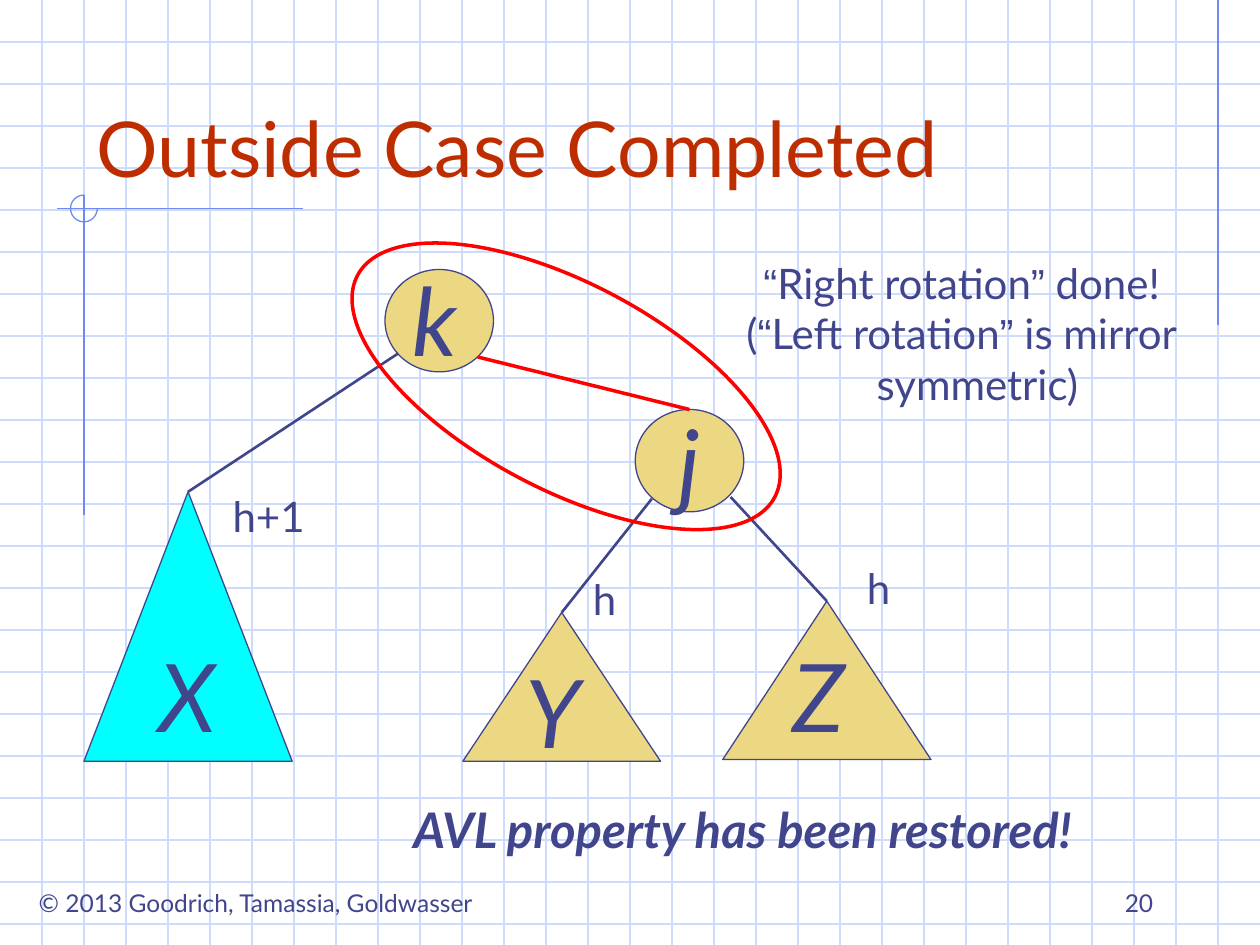
from lxml import etree
from pptx import Presentation
from pptx.dml.color import RGBColor
from pptx.enum.shapes import MSO_CONNECTOR, MSO_SHAPE
from pptx.enum.text import MSO_ANCHOR, PP_ALIGN
from pptx.oxml.ns import qn
from pptx.util import Pt

STRAIGHT = MSO_CONNECTOR.STRAIGHT
ELLIPSE, TRIANGLE, ARC = MSO_SHAPE.OVAL, MSO_SHAPE.ISOSCELES_TRIANGLE, MSO_SHAPE.ARC
LEFT, CENTER, RIGHT = PP_ALIGN.LEFT, PP_ALIGN.CENTER, PP_ALIGN.RIGHT
TOP, MIDDLE, BOTTOM = MSO_ANCHOR.TOP, MSO_ANCHOR.MIDDLE, MSO_ANCHOR.BOTTOM

GRID = RGBColor(0xCF, 0xDB, 0xFD)
ACCENT = RGBColor(0x6F, 0x89, 0xF7)
INK = RGBColor(0x40, 0x45, 0x8C)
TITLE = RGBColor(0xBE, 0x2D, 0x00)
SAND = RGBColor(0xEC, 0xD8, 0x82)
CYAN = RGBColor(0x00, 0xFF, 0xFF)
RED = RGBColor(0xFF, 0x00, 0x00)

FONT, QUOTE_FONT = "Lato", "Arial"
WIDTH, HEIGHT, PITCH = 720, 540, 24


def points(*values):
    return [Pt(v) for v in values]


def add_line(s, start, end, color, weight=0.75):
    line = s.shapes.add_connector(STRAIGHT, *points(*start, *end))
    line.line.color.rgb = color
    line.line.width = Pt(weight)
    etree.SubElement(line.element.spPr, qn("a:effectLst"))


def add_outline(s, kind, box, fill, color=INK, weight=0.75):
    sp = s.shapes.add_shape(kind, *points(*box))
    sp.shadow.inherit = False
    if fill is None:
        sp.fill.background()
    else:
        sp.fill.solid()
        sp.fill.fore_color.rgb = fill
    sp.line.color.rgb = color
    sp.line.width = Pt(weight)
    return sp


def style(p, size, color=INK, align=CENTER, bold=False, italic=False):
    p.alignment = align
    p.font.name = FONT
    p.font.size = Pt(size)
    p.font.color.rgb = color
    p.font.bold = bold
    p.font.italic = italic


def add_text(s, box, text, size, align=CENTER, anchor=TOP, **look):
    tf = s.shapes.add_textbox(*points(*box)).text_frame
    tf.word_wrap = True
    tf.margin_left = tf.margin_right = 0
    tf.vertical_anchor = anchor
    tf.text = text
    for p in tf.paragraphs:
        style(p, size, align=align, **look)
    return tf


def add_background(s, width, height):
    # Square grid
    for y in range(PITCH, height, PITCH):
        add_line(s, (0, y), (width, y), GRID)
    for x in range(PITCH, width, PITCH):
        add_line(s, (x, 0), (x, height), GRID)
    # Accent rules and the open circle at their crossing
    add_line(s, (696, 0), (696, 186), ACCENT)
    add_line(s, (173, 119.25), (32.5, 119.25), ACCENT)
    add_line(s, (48, 111.5), (48, 294.5), ACCENT)
    arc = add_outline(s, ARC, (40.3, 111.5, 15.3, 15.3), None, ACCENT)
    arc.adjustments[0] = 0
    arc.adjustments[1] = 162  # 270 degrees


def add_title(s, box, text):
    title = s.shapes.title
    title.left, title.top, title.width, title.height = points(*box)
    tf = title.text_frame
    tf.vertical_anchor = BOTTOM
    tf.text = text
    style(tf.paragraphs[0], 44, TITLE, LEFT)
    # Bring the title in front of the grid
    title.element.getparent().append(title.element)


def add_node(s, left, top):
    sp = add_outline(s, ELLIPSE, (left, top, 62, 58.5), SAND)
    return sp.text_frame


def add_letter(s, left, top, letter):
    add_text(s, (left, top, 38, 72), letter, 54, italic=True)


def add_subtree(s, box, fill, name, name_at, parent):
    left, top, width, _ = box
    add_outline(s, TRIANGLE, box, fill)
    add_letter(s, *name_at, name)
    add_line(s, parent, (left + width / 2, top), INK, 1.5)


def add_tree(s):
    # Nodes
    tf = add_node(s, 363, 234)
    tf.word_wrap = False
    tf.vertical_anchor = MIDDLE
    tf.text = "j"
    style(tf.paragraphs[0], 54, italic=True)
    add_node(s, 220, 154)
    add_letter(s, 229.5, 146, "k")
    # Subtrees, each joined to its parent node
    add_subtree(s, (48, 281, 119, 154), CYAN, "X", (88, 361), (227.5, 202))
    add_subtree(s, (264.5, 350, 113, 85), SAND, "Y", (297, 370), (372.5, 285))
    add_subtree(s, (413, 343.5, 119, 90.5), SAND, "Z", (449, 361), (417.5, 284))
    # Rotated pair
    add_line(s, (273, 204), (394, 234), RED, 2)
    ring = add_outline(s, ELLIPSE, (188.5, 162, 270, 117.5), None, RED, 2)
    ring.rotation = 28
    # Subtree heights
    for left, top, width, label in [
        (487.5, 318, 29, "h"),
        (125, 276.5, 57, "h+1"),
        (331, 324, 29, "h"),
    ]:
        add_text(s, (left, top, width, 36), label, 24)


def add_remark(s, box):
    lines = [
        ("", "Right rotation", " done!"),
        ("(", "Left rotation", " is mirror"),
    ]
    tf = add_text(s, box, "\n\nsymmetric)", 24)
    for p, (before, quoted, after) in zip(tf.paragraphs, lines):
        for text, font in [
            (before, FONT),
            ("“", QUOTE_FONT),
            (quoted, FONT),
            ("”", QUOTE_FONT),
            (after, FONT),
        ]:
            if text:
                r = p.add_run()
                r.text = text
                r.font.name = font
    # The last line sits slightly right of centre
    tf.paragraphs[2].element.get_or_add_pPr().set("marL", str(Pt(18))) if hasattr(
        tf.paragraphs[2], "element"
    ) else tf.paragraphs[2]._p.get_or_add_pPr().set("marL", str(Pt(18)))


def add_footer(s, box):
    left, top, width, height = box
    add_text(s, (left, top, 279.5, 24.5), "© 2013 Goodrich, Tamassia, Goldwasser", 14)
    add_text(s, (left + width - 143, top - 12, 143, 36), "20", 14, RIGHT, BOTTOM)


def main():
    prs = Presentation()
    prs.slide_width, prs.slide_height = points(WIDTH, HEIGHT)
    s = prs.slides.add_slide(prs.slide_layouts[5])
    add_background(s, WIDTH, HEIGHT)
    add_title(s, (48, 24, 612, 90), "Outside Case Completed")
    add_tree(s)
    add_remark(s, (409, 143.5, 281, 93.5))
    add_text(s, (205, 453.5, 438.5, 41), "AVL property has been restored!", 28,
             bold=True, italic=True)
    add_footer(s, (6.5, 504, 652.5, 24.5))
    prs.save("out.pptx")


if __name__ == "__main__":
    main()
